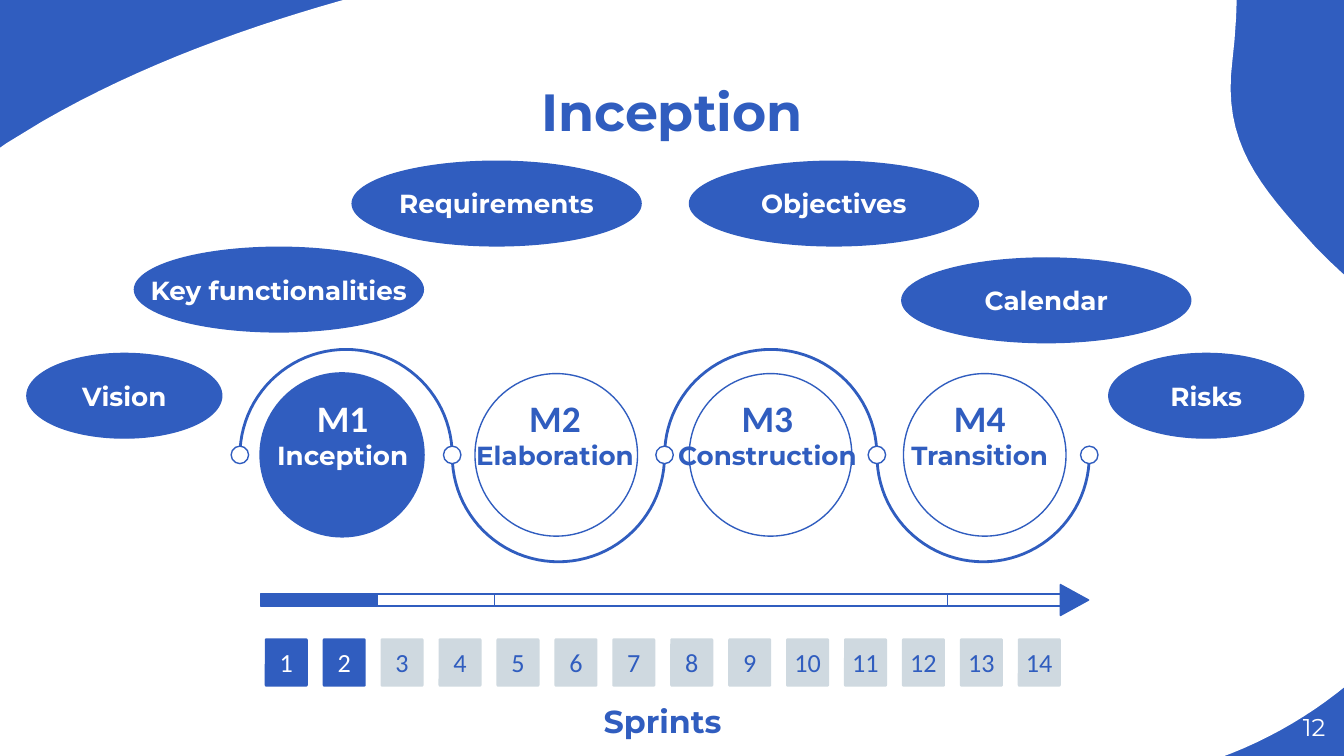
import math
from dataclasses import dataclass
from typing import NamedTuple

import pptx
import pptx.dml.color
import pptx.enum.shapes
import pptx.enum.text
import pptx.util

SHAPE = pptx.enum.shapes.MSO_SHAPE
ALIGN = pptx.enum.text.PP_ALIGN
ANCHOR = pptx.enum.text.MSO_ANCHOR


@dataclass(frozen=True)
class Theme:
    blue: str = "305DBF"
    white: str = "FFFFFF"
    grey: str = "CFD9E0"
    heading: str = "Montserrat"
    figures: str = "Calibri"
    title: int = 28
    code: int = 20
    caption: int = 17
    label: int = 14
    page: int = 13
    thin: float = 0.75
    thick: float = 1.5


class Box(NamedTuple):
    """A place on the grid, in columns and rows of 0.1 inch."""
    left: float
    top: float
    width: float
    height: float

    def emu(self) -> list[int]:
        return [cells(length) for length in self]


class Style(NamedTuple):
    size: int
    color: str
    font: str
    bold: bool = True


class Topic(NamedTuple):
    name: str
    box: Box


class Phase(NamedTuple):
    code: str
    name: str
    active: bool


THEME = Theme()
COLUMNS, ROWS = 100, 56.25


def cells(count: float) -> int:
    return int(pptx.util.Inches(count / 10))


def rgb(color: str) -> pptx.dml.color.RGBColor:
    return pptx.dml.color.RGBColor.from_string(color)


def paint(shape, fill: str | None, line: str | None = THEME.blue, weight: float = THEME.thin):
    shape.shadow.inherit = False
    if fill:
        shape.fill.solid()
        shape.fill.fore_color.rgb = rgb(fill)
    else:
        shape.fill.background()
    if line:
        shape.line.color.rgb = rgb(line)
        shape.line.width = pptx.util.Pt(weight)
    else:
        shape.line.fill.background()
    return shape


def write(shape, text: str, style: Style, wrap: bool = True, anchor=ANCHOR.TOP, align=ALIGN.CENTER) -> None:
    frame = shape.text_frame
    frame.text = text
    frame.word_wrap = wrap
    frame.auto_size = pptx.enum.text.MSO_AUTO_SIZE.NONE
    frame.vertical_anchor = anchor
    frame.margin_left = frame.margin_right = cells(1)
    frame.margin_top = frame.margin_bottom = cells(1)
    paragraph = frame.paragraphs[0]
    paragraph.alignment = align
    font = paragraph.runs[0].font
    font.size, font.bold, font.name = pptx.util.Pt(style.size), style.bold, style.font
    font.color.rgb = rgb(style.color)


def add_shape(slide, kind, box: Box, fill: str, line: str | None = THEME.blue, weight: float = THEME.thin):
    return paint(slide.shapes.add_shape(kind, *box.emu()), fill, line, weight)


def add_label(slide, box: Box, text: str, style: Style, **layout) -> None:
    write(slide.shapes.add_textbox(*box.emu()), text, style, **layout)


def add_outline(slide, points: list[tuple[float, float]], close: bool):
    corners = [(cells(x), cells(y)) for x, y in points]
    builder = slide.shapes.build_freeform(*corners[0], scale=1.0)
    builder.add_line_segments(corners[1:], close=close)
    return builder.convert_to_shape()


def bezier(knots: list[tuple[float, float]], steps: int = 16) -> list[tuple[float, float]]:
    """Points along cubic curves that share their end knots."""
    points = [knots[0]]
    for first in range(0, len(knots) - 1, 3):
        curve = knots[first:first + 4]
        for step in range(1, steps + 1):
            t = step / steps
            shares = [math.comb(3, k) * t ** k * (1 - t) ** (3 - k) for k in range(4)]
            points.append((sum(s * x for s, (x, _) in zip(shares, curve)),
                           sum(s * y for s, (_, y) in zip(shares, curve))))
    return points


BACKDROP = [
    (80.6, -24.4), (77.1, -25.9), (72.6, -26.4), (66.8, -25.4), (57.5, -23.8), (50.5, -16.4),
    (45.5, -9.1), (41.2, -2.8), (33.1, -1.9), (26.6, -0.3), (18.6, 1.9), (10.5, 4.8),
    (3.2, 9), (-11.9, 17.6), (-15.9, 29.1), (-14.7, 43.6), (-14.3, 47.9), (-13.4, 54.8),
    (-5.6, 62.6), (-2.6, 65.5), (0.7, 67.7), (4.2, 69.2), (13.3, 72.9), (24.3, 72.2),
    (36.7, 68), (40.7, 66.7), (44.4, 64.8), (48.2, 63.3), (52.2, 61.6), (56.5, 60.5),
    (60.8, 59.9), (70.7, 58.5), (81.2, 59.8), (90.7, 56.4), (95.7, 54.6), (100.3, 51.5),
    (103.8, 47.5), (108.2, 42.4), (109.5, 35.6), (107, 29.4), (104.6, 23.6), (101.2, 21.9),
    (97.8, 18.3), (93.7, 13.8), (90.9, 10.6), (91.7, 4.5), (92.6, -3.1), (92.6, -19.4),
    (80.6, -24.4)]
TOPICS = [
    Topic("Risks", Box(82.5, 26.3, 14.5, 6.3)),
    Topic("Calendar", Box(67.1, 19.2, 21.5, 6.3)),
    Topic("Vision", Box(2, 26.3, 14.5, 6.3)),
    Topic("Objectives", Box(51.3, 12, 21.5, 6.3)),
    Topic("Requirements", Box(26.2, 12, 21.5, 6.3)),
    Topic("Key functionalities", Box(10, 18.4, 21.5, 6.3))]
PHASES = [Phase("M1", "Inception", True), Phase("M2", "Elaboration", False),
          Phase("M3", "Construction", False), Phase("M4", "Transition", False)]
WAVE_LEFT, WAVE_AXIS, RADIUS = 17.85, 33.9, 7.9
SPRINTS, SPRINTS_DONE, SPRINT_PITCH = 14, 2, 4.31
STAGE_WIDTHS = [8.7, 8.7, 33.7, 8.7]


def draw_phases(slide) -> None:
    pitch = 2 * RADIUS
    for i, phase in enumerate(PHASES):
        add_shape(slide, SHAPE.OVAL, Box(19.4 + 15.94 * i, 27.8, 12.1, 12.1),
                  THEME.blue if phase.active else THEME.white,
                  weight=THEME.thick if phase.active else THEME.thin)
    # Half circles, alternately above and below the axis
    for i in range(len(PHASES)):
        center, side = WAVE_LEFT + RADIUS + pitch * i, -1 if i % 2 == 0 else 1
        angles = [math.pi * step / 48 for step in range(49)]
        arc = [(center - RADIUS * math.cos(a), WAVE_AXIS + side * RADIUS * math.sin(a)) for a in angles]
        paint(add_outline(slide, arc, close=False), None, weight=THEME.thick)
    for i in range(len(PHASES) + 1):
        add_shape(slide, SHAPE.OVAL, Box(WAVE_LEFT - 0.65 + pitch * i, 33.2, 1.3, 1.3), THEME.white)
    for i, phase in enumerate(PHASES):
        color = THEME.white if phase.active else THEME.blue
        center = 25.5 + pitch * i
        add_label(slide, Box(center - 5.85, 28.4, 11.7, 5.4), phase.code,
                  Style(THEME.code, color, THEME.figures))
        add_label(slide, Box(center - 8.05, 31.7, 16.1, 4.4), phase.name,
                  Style(THEME.label, color, THEME.heading))


def draw_sprints(slide) -> None:
    for i in range(SPRINTS):
        done = i < SPRINTS_DONE
        tile = add_shape(slide, SHAPE.ROUNDED_RECTANGLE, Box(19.7 + SPRINT_PITCH * i, 47.5, 3.2, 3.6),
                         THEME.blue if done else THEME.grey, line=None)
        tile.adjustments[0] = 0.04
        write(tile, str(i + 1), Style(THEME.label, THEME.white if done else THEME.blue, THEME.figures, False),
              wrap=False, anchor=ANCHOR.MIDDLE)
    add_label(slide, Box(19.7, 51.2, 59.2, 4.9), "Sprints", Style(THEME.caption, THEME.blue, THEME.heading))


def draw_timeline(slide) -> None:
    for i, width in enumerate(STAGE_WIDTHS):
        add_shape(slide, SHAPE.RECTANGLE, Box(19.4 + sum(STAGE_WIDTHS[:i]), 44.2, width, 0.9),
                  THEME.white if i else THEME.blue)
    add_shape(slide, SHAPE.ISOSCELES_TRIANGLE, Box(78.8, 43.6, 2.3, 2.1), THEME.blue).rotation = 90


def main() -> None:
    deck = pptx.Presentation()
    deck.slide_width, deck.slide_height = cells(COLUMNS), cells(ROWS)
    slide = deck.slides.add_slide(deck.slide_layouts[5])

    # Blue ground, white backdrop and title
    slide.background.fill.solid()
    slide.background.fill.fore_color.rgb = rgb(THEME.blue)
    title = slide.shapes.title
    title.left, title.top, title.width, title.height = Box(3.4, 4.9, 93.2, 6.3).emu()
    write(title, "Inception", Style(THEME.title, THEME.blue, THEME.heading))
    backdrop = paint(add_outline(slide, bezier(BACKDROP), close=True), THEME.white, line=None)
    title.element.addprevious(backdrop.element)

    # Topics around the phases
    for topic in TOPICS:
        oval = add_shape(slide, SHAPE.OVAL, topic.box, THEME.blue)
        write(oval, topic.name, Style(THEME.label, THEME.white, THEME.heading), wrap=False, anchor=ANCHOR.MIDDLE)

    draw_phases(slide)
    draw_sprints(slide)
    draw_timeline(slide)

    # Page number
    add_label(slide, Box(93.6, 51.9, 6, 4.3), "12", Style(THEME.page, THEME.white, THEME.heading, False),
              anchor=ANCHOR.MIDDLE, align=ALIGN.RIGHT)
    deck.save("out.pptx")


main()
